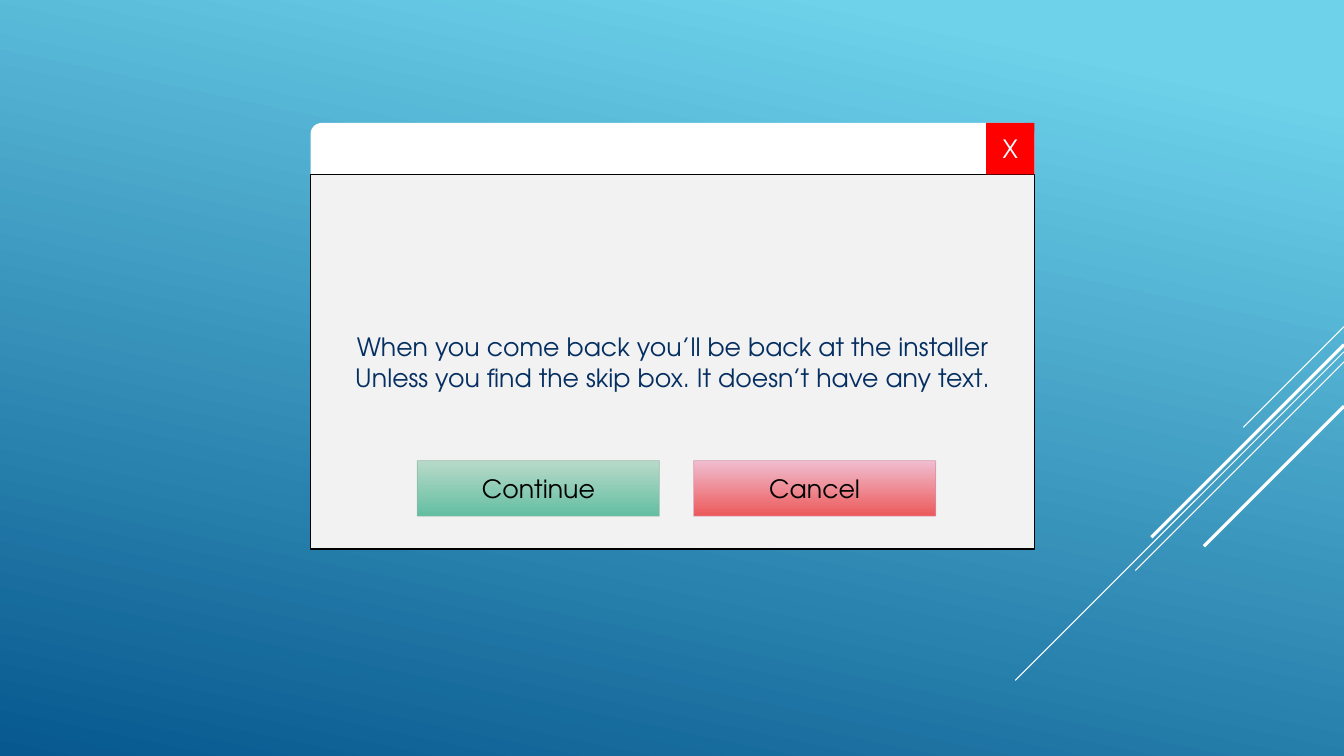
"""Build a slide with an installer dialog window on a blue gradient."""
from lxml.etree import SubElement
from pptx import Presentation
from pptx.dml.color import RGBColor
from pptx.enum.shapes import MSO_CONNECTOR, MSO_SHAPE
from pptx.enum.text import MSO_ANCHOR, PP_ALIGN
from pptx.oxml.ns import qn
from pptx.util import Inches, Pt

WIDTH, HEIGHT = 13.33, 7.5
FONT, TEXT_SIZE = "TeX Gyre Adventor", 18
COLORS = {
    "sky": "6ED2EB", "sea": "06588E", "white": "FFFFFF", "panel": "F2F2F2",
    "black": "000000", "navy": "052F61", "red": "FF0000",
    "mint": "B9DACA", "green": "63BEA2", "green_edge": "8AB7A1",
    "pink": "F0BED0", "coral": "EC5A5B", "coral_edge": "D68BA6",
}
MESSAGE = [
    "When you come back you’ll be back at the installer",
    "Unless you find the skip box. It doesn’t have any text.",
]
BUTTONS = [
    ("Continue", ("mint", "green"), "green_edge"),
    ("Cancel", ("pink", "coral"), "coral_edge"),
]
# Each ray: height at the right edge, diagonal run, line weight
RAYS = [(3.24, 1, 0.75), (3.49, 3.26, 0.75), (3.59, 2.07, 0.75),
        (3.42, 1.91, 2.25), (4.03, 1.39, 2.25)]

WINDOW_LEFT, WINDOW_TOP, WINDOW_WIDTH = 3.08, 1.22, 7.18
TITLE_HEIGHT, BAR_HEIGHT, PANEL_HEIGHT = 0.51, 0.66, 3.72
CLOSE_WIDTH = 0.48
BUTTON_LEFT, BUTTON_TOP, BUTTON_WIDTH, BUTTON_HEIGHT = 4.14, 4.57, 2.4, 0.55
BUTTON_STEP = BUTTON_WIDTH + 0.34


def color(name):
    return RGBColor.from_string(COLORS[name])


def paint_gradient(fill, names, first=0, angle=90):
    fill.gradient()
    fill.gradient_angle = 360 - angle
    for stop, name, position in zip(fill.gradient_stops, names, (first, 1)):
        stop.color.rgb = color(name)
        stop.position = position


def add_box(page, left, top, width, height, fill, edge=None, weight=0.75,
            opacity=None, kind=MSO_SHAPE.RECTANGLE):
    box = page.shapes.add_shape(
        kind, Inches(left), Inches(top), Inches(width), Inches(height))
    box.shadow.inherit = False
    if isinstance(fill, tuple):
        paint_gradient(box.fill, fill)
    else:
        box.fill.solid()
        box.fill.fore_color.rgb = color(fill)
    if edge is None:
        box.line.fill.background()
        return box
    box.line.color.rgb = color(edge)
    box.line.width = Pt(weight)
    if opacity is not None:
        shade = box.line._get_or_add_ln().find(".//" + qn("a:srgbClr"))
        SubElement(shade, qn("a:alpha"), val=str(opacity * 1000))
    return box


def write(box, lines, ink="black", size=TEXT_SIZE, font=FONT,
          align=PP_ALIGN.CENTER):
    frame = box.text_frame
    frame.word_wrap = True
    frame.vertical_anchor = MSO_ANCHOR.MIDDLE
    for index, line in enumerate(lines):
        para = frame.add_paragraph() if index else frame.paragraphs[0]
        para.alignment = align
        span = para.add_run()
        span.text = line
        span.font.name = font
        span.font.size = Pt(size)
        span.font.color.rgb = color(ink)


def add_ray(page, top, run, weight):
    ray = page.shapes.add_connector(
        MSO_CONNECTOR.STRAIGHT, Inches(WIDTH), Inches(top),
        Inches(WIDTH - run), Inches(top + run))
    ray.line.color.rgb = color("white")
    ray.line.width = Pt(weight)
    SubElement(ray._element.spPr, qn("a:effectLst"))


def main():
    deck = Presentation()
    deck.slide_width, deck.slide_height = Inches(WIDTH), Inches(HEIGHT)
    page = deck.slides.add_slide(deck.slide_layouts[6])
    paint_gradient(page.background.fill, ("sky", "sea"), first=0.1, angle=102)
    for ray in RAYS:
        add_ray(page, *ray)

    add_box(page, WINDOW_LEFT, WINDOW_TOP, WINDOW_WIDTH, BAR_HEIGHT, "white",
            kind=MSO_SHAPE.ROUNDED_RECTANGLE)
    panel = add_box(page, WINDOW_LEFT, WINDOW_TOP + TITLE_HEIGHT, WINDOW_WIDTH,
                    PANEL_HEIGHT, "panel", edge="black", weight=1.25)
    write(panel, MESSAGE, ink="navy")
    close = add_box(page, WINDOW_LEFT + WINDOW_WIDTH - CLOSE_WIDTH, WINDOW_TOP,
                    CLOSE_WIDTH, TITLE_HEIGHT, "red")
    write(close, ["X"], ink="white")

    for index, (label, fill, edge) in enumerate(BUTTONS):
        button = add_box(page, BUTTON_LEFT + index * BUTTON_STEP, BUTTON_TOP,
                         BUTTON_WIDTH, BUTTON_HEIGHT, fill, edge=edge,
                         opacity=60)
        write(button, [label])
    deck.save("out.pptx")


if __name__ == "__main__":
    main()
